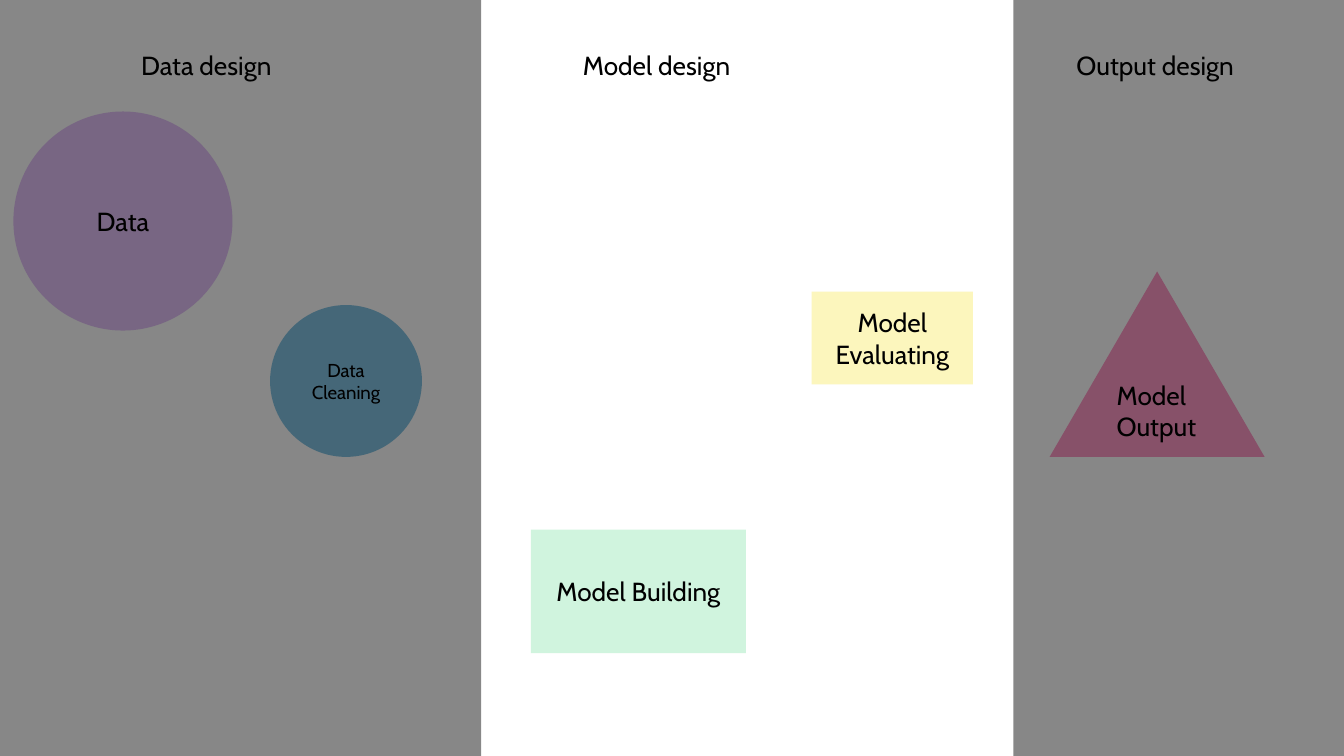
from lxml import etree
from pptx import Presentation
from pptx.dml import color
from pptx.enum import shapes, text
from pptx.oxml import ns
from pptx.util import Inches, Pt

W = 10
H = W * 9 / 16
SHAPE = shapes.MSO_SHAPE
ALIGN = text.PP_ALIGN


def rgb(value):
    return color.RGBColor.from_string(value)


def write(sp, lines, size, align, anchor):
    tf = sp.text_frame
    tf.word_wrap = True
    tf.vertical_anchor = anchor
    tf.margin_left = tf.margin_right = Inches(0.1)
    tf.margin_top = tf.margin_bottom = Inches(0.1)
    tf.text = lines
    for p in tf.paragraphs:
        p.alignment = align
        for r in p.runs:
            r.font.name = "Cabin"
            r.font.size = Pt(size)
            r.font.color.rgb = rgb("000000")


prs = Presentation()
prs.slide_width, prs.slide_height = Inches(W), Inches(H)
s = prs.slides.add_slide(prs.slide_layouts[6])
s.background.fill.solid()
s.background.fill.fore_color.rgb = rgb("FFFFFF")

# Pipeline steps: kind, left, top, width, height, fill, label, size, alignment
steps = [
    (SHAPE.RECTANGLE, 6.04, 2.17, 1.2, 0.69, "FCF6BD", "Model\nEvaluating", 14, ALIGN.CENTER),
    (SHAPE.RECTANGLE, 3.95, 3.94, 1.6, 0.92, "D0F4DE", "Model Building", 14, ALIGN.CENTER),
    (SHAPE.OVAL, 2.01, 2.27, 1.13, 1.13, "83C4E4", "Data Cleaning", 10, ALIGN.CENTER),
    (SHAPE.OVAL, 0.1, 0.83, 1.63, 1.63, "E4C1F9", "Data", 14, ALIGN.CENTER),
    (SHAPE.ISOSCELES_TRIANGLE, 7.81, 2.02, 1.6, 1.38, "FF99C8", "Model Output", 14, ALIGN.LEFT),
]
for kind, x, y, w, h, fill, label, size, align in steps:
    sp = s.shapes.add_shape(kind, Inches(x), Inches(y), Inches(w), Inches(h))
    sp.shadow.inherit = False
    sp.fill.solid()
    sp.fill.fore_color.rgb = rgb(fill)
    sp.line.fill.background()
    write(sp, label, size, align, text.MSO_ANCHOR.MIDDLE)

# Stage headings
for x, heading in [(0.79, "Data design"), (4.14, "Model design"), (7.85, "Output design")]:
    sp = s.shapes.add_textbox(Inches(x), Inches(0.27), Inches(1.49), Inches(0.56))
    write(sp, heading, 14, ALIGN.CENTER, text.MSO_ANCHOR.TOP)

# Translucent shades over the stages that are not in focus
for x, w in [(7.54, W - 7.54), (0, 3.58)]:
    sp = s.shapes.add_shape(SHAPE.RECTANGLE, Inches(x), 0, Inches(w), Inches(H))
    sp.shadow.inherit = False
    sp.fill.solid()
    sp.fill.fore_color.rgb = rgb("000000")
    sp.line.fill.background()
    clr = sp.element.spPr.find(ns.qn("a:solidFill")).find(ns.qn("a:srgbClr"))
    etree.SubElement(clr, ns.qn("a:alpha")).set("val", "47000")

prs.save("out.pptx")
